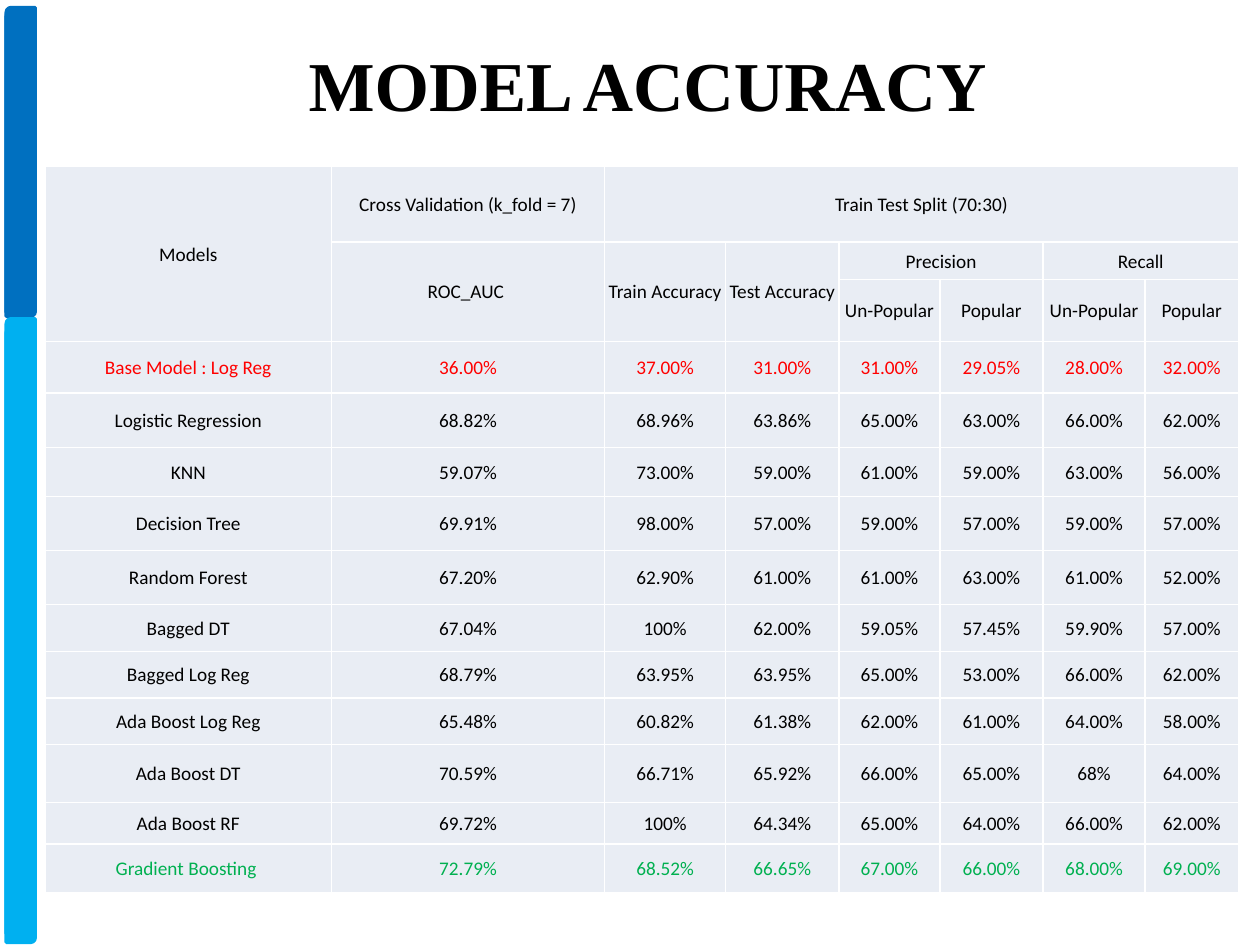
from lxml import etree
from pptx import Presentation
from pptx.dml.color import RGBColor
from pptx.enum.shapes import MSO_SHAPE
from pptx.enum.text import MSO_ANCHOR, PP_ALIGN
from pptx.oxml.ns import qn
from pptx.util import Inches, Pt

BAR = MSO_SHAPE.ROUND_2_DIAG_RECTANGLE
CENTER, MIDDLE = PP_ALIGN.CENTER, MSO_ANCHOR.MIDDLE
BLUE = RGBColor(0x00, 0x70, 0xC0)
SKY = RGBColor(0x00, 0xB0, 0xF0)
BLACK = RGBColor(0, 0, 0)
RED = RGBColor(0xFF, 0, 0)
GREEN = RGBColor(0x00, 0xB0, 0x50)
CELL = RGBColor(0xE9, 0xED, 0xF4)
WHITE = RGBColor(0xFF, 0xFF, 0xFF)

COL_WIDTHS = [2.27, 2.17, 0.96, 0.9, 0.8, 0.82, 0.81, 0.74]
ROW_HEIGHTS = [0.6, 0.3, 0.49, 0.41, 0.43, 0.39, 0.43,
               0.43, 0.37, 0.37, 0.37, 0.46, 0.33, 0.39]
HEADERS = [
    (0, 0, 3, 1, "Models"),
    (0, 1, 1, 1, "Cross Validation (k_fold = 7)"),
    (0, 2, 1, 6, "Train Test Split (70:30)"),
    (1, 1, 2, 1, "ROC_AUC "),
    (1, 2, 2, 1, "Train Accuracy"),
    (1, 3, 2, 1, "Test Accuracy"),
    (1, 4, 1, 2, "Precision"),
    (1, 6, 1, 2, "Recall"),
    (2, 4, 1, 1, "Un-Popular"),
    (2, 5, 1, 1, "Popular"),
    (2, 6, 1, 1, "Un-Popular"),
    (2, 7, 1, 1, "Popular"),
]
MODELS = [
    ("Base Model : Log Reg", "36.00% 37.00% 31.00% 31.00% 29.05% 28.00% 32.00%"),
    ("Logistic Regression", "68.82% 68.96% 63.86% 65.00% 63.00% 66.00% 62.00%"),
    ("KNN", "59.07% 73.00% 59.00% 61.00% 59.00% 63.00% 56.00%"),
    ("Decision Tree", "69.91% 98.00% 57.00% 59.00% 57.00% 59.00% 57.00%"),
    ("Random Forest", "67.20% 62.90% 61.00% 61.00% 63.00% 61.00% 52.00%"),
    ("Bagged DT", "67.04% 100% 62.00% 59.05% 57.45% 59.90% 57.00%"),
    ("Bagged Log Reg", "68.79% 63.95% 63.95% 65.00% 53.00% 66.00% 62.00%"),
    ("Ada Boost Log Reg", "65.48% 60.82% 61.38% 62.00% 61.00% 64.00% 58.00%"),
    ("Ada Boost DT", "70.59% 66.71% 65.92% 66.00% 65.00% 68% 64.00%"),
    ("Ada Boost RF", "69.72% 100% 64.34% 65.00% 64.00% 66.00% 62.00%"),
    ("Gradient Boosting ", "72.79% 68.52% 66.65% 67.00% 66.00% 68.00% 69.00%"),
]
ROW_COLORS = {"Base Model : Log Reg": RED, "Gradient Boosting ": GREEN}


def write(tf, text, font, size, color, bold=False):
    """Put one centred run into a text frame."""
    p = tf.paragraphs[0]
    p.alignment = CENTER
    r = p.add_run()
    r.text = text
    r.font.name, r.font.size, r.font.bold = font, Pt(size), bold
    r.font.color.rgb = color


def add_side_bars(s, left, width):
    """Draw the layered two-colour strip down the left edge."""
    for top, height, color in [(0.09, 2.42, BLUE), (2.6, 4.88, SKY),
                               (0.06, 2.42, BLUE), (2.53, 4.88, SKY)]:
        sp = s.shapes.add_shape(BAR, left, Inches(top), width, Inches(height))
        sp.shadow.inherit = False
        sp.fill.solid()
        sp.fill.fore_color.rgb = color
        sp.line.color.rgb = color
        sp.line.width = Pt(2)


def add_title(s, left, top, width, height):
    """Move the title placeholder into its box and fill it."""
    sp = s.shapes.title
    sp.left, sp.top, sp.width, sp.height = left, top, width, height
    sp.text_frame.word_wrap = True
    write(sp.text_frame, "MODEL ACCURACY", "Times New Roman", 40, BLACK, True)


def style_cell(cell):
    """Give a cell its margins, white borders and fill."""
    cell.vertical_anchor = MIDDLE
    cell.margin_left = cell.margin_right = cell.margin_top = Inches(0.01)
    cell.margin_bottom = 0
    tc_pr = cell._tc.get_or_add_tcPr()
    for side in ("a:lnL", "a:lnR", "a:lnT", "a:lnB"):
        ln = etree.SubElement(tc_pr, qn(side), w=str(Pt(1)))
        fill = etree.SubElement(ln, qn("a:solidFill"))
        etree.SubElement(fill, qn("a:srgbClr"), val=str(WHITE))
    cell.fill.solid()
    cell.fill.fore_color.rgb = CELL


def add_accuracy_table(s, left, top, width, height):
    """Build the model comparison table with its merged header."""
    table = s.shapes.add_table(len(ROW_HEIGHTS), len(COL_WIDTHS),
                               left, top, width, height).table
    table.first_row = table.horz_banding = False
    for col, w in zip(table.columns, COL_WIDTHS):
        col.width = Inches(w)
    for row, h in zip(table.rows, ROW_HEIGHTS):
        row.height = Inches(h)
    for cell in table.iter_cells():
        style_cell(cell)
    for row, col, rows, cols, text in HEADERS:
        cell = table.cell(row, col)
        if rows * cols > 1:
            cell.merge(table.cell(row + rows - 1, col + cols - 1))
        write(cell.text_frame, text, "Calibri", 11, BLACK)
    for row, (name, scores) in enumerate(MODELS, 3):
        color = ROW_COLORS.get(name, BLACK)
        for col, text in enumerate([name] + scores.split()):
            write(table.cell(row, col).text_frame, text, "Calibri", 11, color)


def main():
    """Build and save the slide."""
    prs = Presentation()
    prs.slide_width, prs.slide_height = Inches(10), Inches(7.5)
    s = prs.slides.add_slide(prs.slide_layouts[5])
    add_side_bars(s, Inches(0.05), Inches(0.23))
    add_title(s, Inches(0.47), Inches(0.28), Inches(9.34), Inches(0.77))
    add_accuracy_table(s, Inches(0.36), Inches(1.32), Inches(9.45), Inches(5.77))
    prs.save("out.pptx")


if __name__ == "__main__":
    main()
